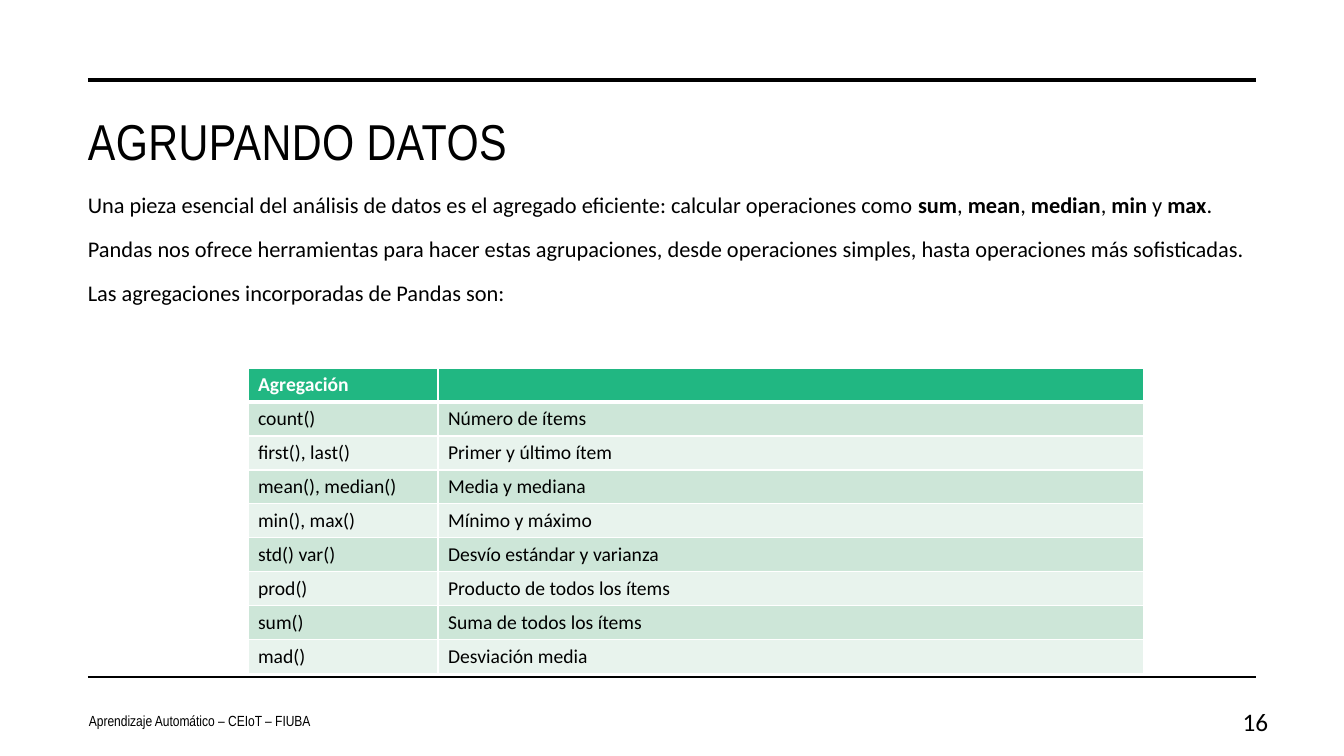
from dataclasses import dataclass

from lxml.etree import SubElement
from pptx import Presentation
from pptx.dml.color import RGBColor
from pptx.enum.shapes import MSO_CONNECTOR as Connector
from pptx.enum.text import MSO_ANCHOR as Anchor, PP_ALIGN as Align
from pptx.oxml.ns import qn
from pptx.util import Emu, Pt


@dataclass(frozen=True)
class Theme:
    ink: str = "000000"
    paper: str = "FFFFFF"
    header: str = "21B782"
    bands: tuple = ("CDE6D8", "E8F3ED")
    heading_font: str = "Arial Narrow"
    body_font: str = "Calibri"
    title_size: float = 36
    number_size: float = 18
    body_size: float = 16
    table_size: float = 14
    footer_size: float = 10.5


THEME = Theme()
EMU_PER_INCH = 914400
PX_PER_INCH = 100.8

INTRODUCTION = [
    [("Una pieza esencial del análisis de datos es el agregado eficiente: "
      "calcular operaciones como ", False),
     ("sum", True), (", ", False), ("mean", True), (", ", False),
     ("median", True), (", ", False), ("min", True), (" y ", False),
     ("max", True), (".", False)],
    [("Pandas nos ofrece herramientas para hacer estas agrupaciones, desde "
      "operaciones simples, hasta operaciones más sofisticadas.", False)],
    [("Las agregaciones incorporadas de Pandas son:", False)],
]

AGGREGATIONS = [
    ("Agregación", ""),
    ("count()", "Número de ítems"),
    ("first(), last()", "Primer y último ítem"),
    ("mean(), median()", "Media y mediana"),
    ("min(), max()", "Mínimo y máximo"),
    ("std() var()", "Desvío estándar y varianza"),
    ("prod()", "Producto de todos los ítems"),
    ("sum()", "Suma de todos los ítems"),
    ("mad()", "Desviación media"),
]


def px(length):
    return Emu(round(length * EMU_PER_INCH / PX_PER_INCH))


def style(font, face, size, color=THEME.ink, bold=False):
    font.name = face
    font.size = Pt(size)
    font.bold = bold
    font.color.rgb = RGBColor.from_string(color)


def add_text_frame(slide, box, anchor=Anchor.MIDDLE):
    frame = slide.shapes.add_textbox(*map(px, box)).text_frame
    frame.word_wrap = True
    frame.vertical_anchor = anchor
    return frame


def add_rule(slide, left, right, y, weight):
    rule = slide.shapes.add_connector(
        Connector.STRAIGHT, px(left), px(y), px(right), px(y))
    rule.line.color.rgb = RGBColor.from_string(THEME.ink)
    rule.line.width = Pt(weight)
    SubElement(rule._element.spPr, qn("a:effectLst"))


def add_frame_rules(slide, box):
    left, top, width, height = box
    add_rule(slide, left, left + width, top, 3.5)
    add_rule(slide, left, left + width, top + height, 1)


def add_title(slide, box, title):
    heading = add_text_frame(slide, box).paragraphs[0]
    run = heading.add_run()
    run.text = title
    run._r.get_or_add_rPr().set("spc", "30")
    style(heading.font, THEME.heading_font, THEME.title_size)


def add_introduction(slide, box, sentences):
    frame = add_text_frame(slide, box, Anchor.TOP)
    for index, sentence in enumerate(sentences):
        paragraph = frame.add_paragraph() if index else frame.paragraphs[0]
        paragraph.line_spacing = 1.1
        paragraph.space_before = Pt(10)
        style(paragraph.font, THEME.body_font, THEME.body_size)
        for words, bold in sentence:
            run = paragraph.add_run()
            run.text = words
            if bold:
                run.font.bold = True


def add_cell_borders(cell, bottom_weight):
    properties = cell._tc.get_or_add_tcPr()
    for side, weight in zip("LRTB", (1, 1, 1, bottom_weight)):
        border = SubElement(properties, qn(f"a:ln{side}"), w=str(Pt(weight)))
        fill = SubElement(border, qn("a:solidFill"))
        SubElement(fill, qn("a:srgbClr"), val=THEME.paper)


def add_aggregation_table(slide, box, rows, name_width):
    left, top, width, height = box
    table = slide.shapes.add_table(
        len(rows), len(rows[0]), *map(px, box)).table
    for column, column_width in zip(table.columns, (name_width, width - name_width)):
        column.width = px(column_width)
    for index, row in enumerate(rows):
        is_header = index == 0
        table.rows[index].height = px(height / len(rows))
        for cell, words in zip(table.rows[index].cells, row):
            add_cell_borders(cell, 3 if is_header else 1)
            cell.fill.solid()
            cell.fill.fore_color.rgb = RGBColor.from_string(
                THEME.header if is_header else THEME.bands[(index - 1) % 2])
            cell.text = words
            style(cell.text_frame.paragraphs[0].font, THEME.body_font,
                  THEME.table_size, THEME.paper if is_header else THEME.ink,
                  is_header)


def add_footer(slide, box, course, number, number_width):
    left, top, width, height = box
    note = add_text_frame(slide, (left, top, 500, height)).paragraphs[0]
    note.text = course
    note.space_after = Pt(6)
    style(note.font, THEME.heading_font, THEME.footer_size)
    page = add_text_frame(
        slide, (left + width - number_width, top, number_width, height)).paragraphs[0]
    page.text = number
    page.alignment = Align.RIGHT
    style(page.font, THEME.body_font, THEME.number_size)


def build_slide(presentation):
    slide = presentation.slides.add_slide(presentation.slide_layouts[6])
    add_frame_rules(slide, (88, 80, 1168, 597))
    add_title(slide, (78, 102, 1178, 76), "AGRUPANDO DATOS")
    add_introduction(slide, (78, 184, 1178, 140), INTRODUCTION)
    add_aggregation_table(slide, (248, 368, 896, 306), AGGREGATIONS, 190)
    add_footer(slide, (79, 701, 1199, 40),
               "Aprendizaje Automático – CEIoT – FIUBA", "16", 75)


def main():
    presentation = Presentation()
    presentation.slide_width = px(1344)
    presentation.slide_height = px(756)
    build_slide(presentation)
    presentation.save("out.pptx")


if __name__ == "__main__":
    main()
